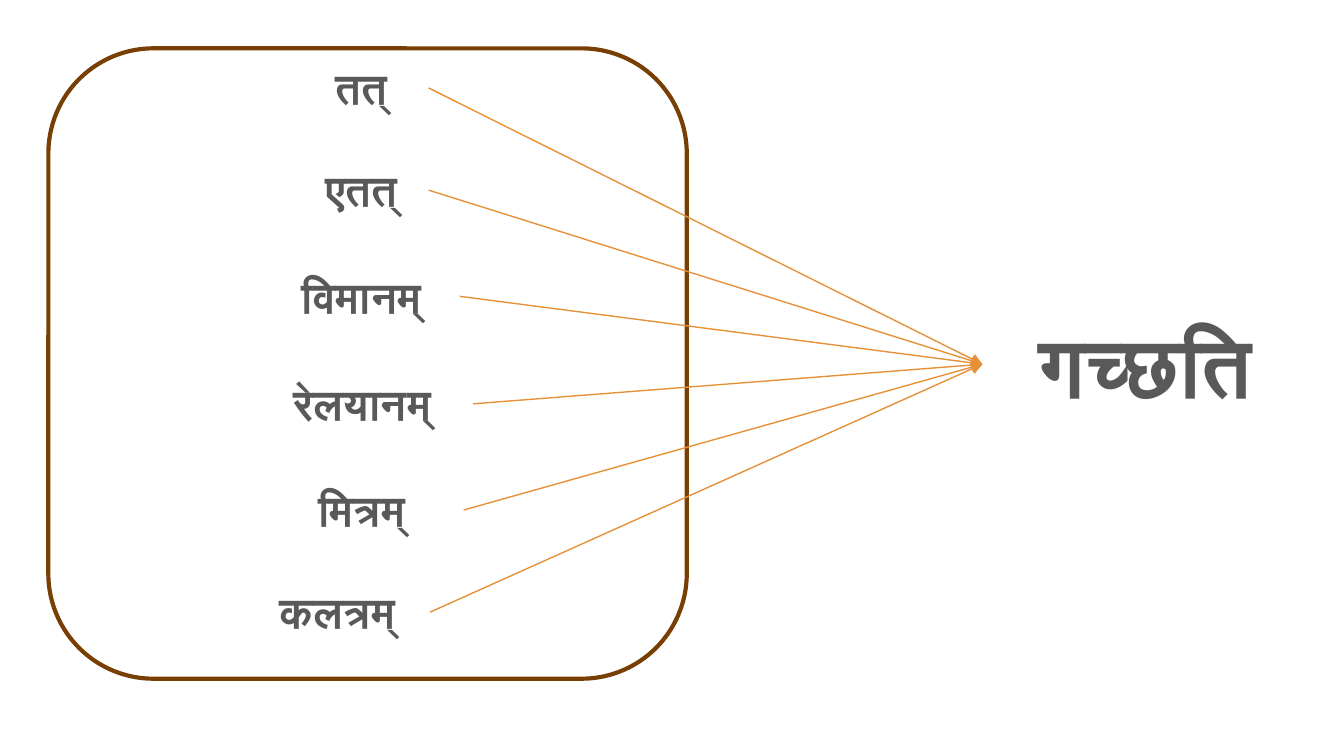
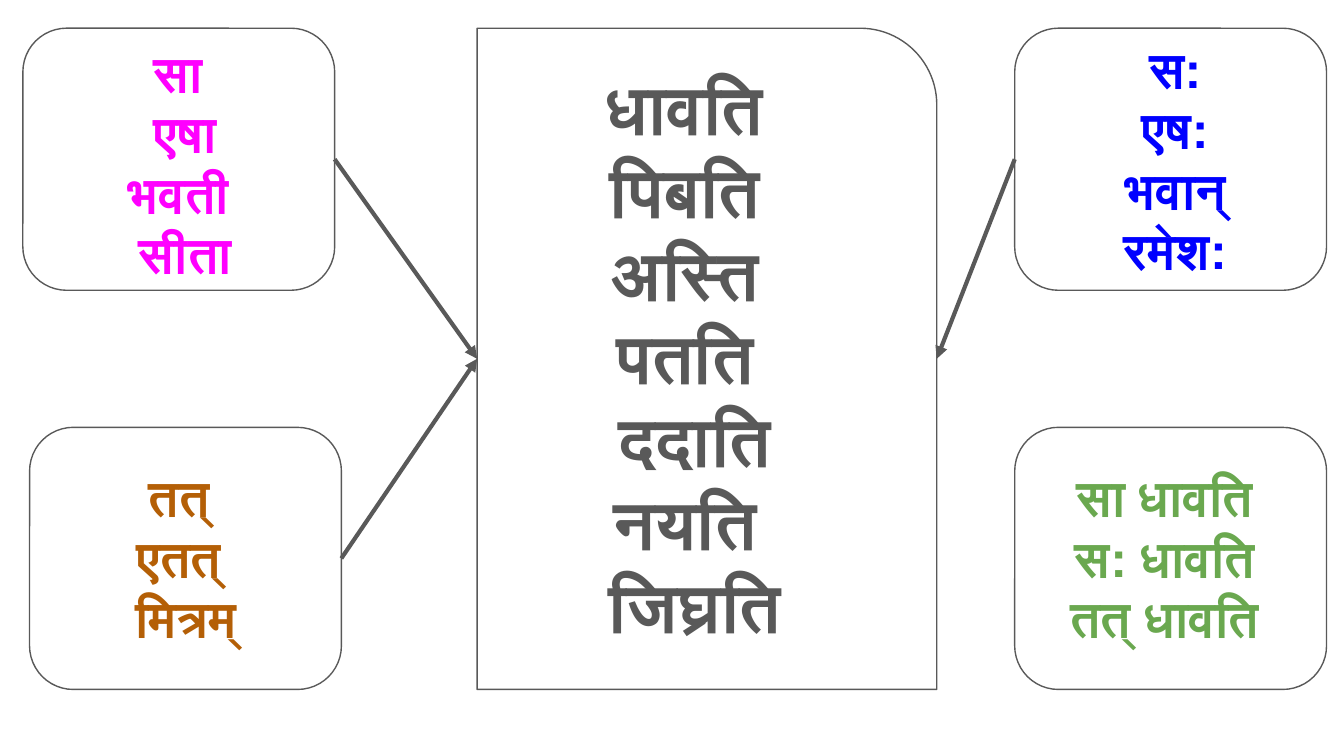
from dataclasses import dataclass

from pptx import Presentation
from pptx.dml.color import RGBColor as RGB
from pptx.enum.shapes import MSO_CONNECTOR as LINE, MSO_SHAPE as SHAPE
from pptx.enum.text import MSO_AUTO_SIZE as FIT, PP_ALIGN as ALIGN
from pptx.oxml.ns import qn
from pptx.util import Pt
from lxml.etree import SubElement

PX = 9144  # EMU; 100 px to the inch
LEFT_SITE, RIGHT_SITE = 1, 3


@dataclass(frozen=True)
class Theme:
    font: str = "Arial"
    white: str = "FFFFFF"
    grey: str = "595959"
    brown: str = "783F04"
    orange: str = "E69138"
    magenta: str = "FF00FF"
    blue: str = "0000FF"
    ochre: str = "B45F06"
    green: str = "6AA84F"
    word: int = 23
    group: int = 27
    verbs: int = 37
    key_verb: int = 45
    thin: float = 0.75
    thick: float = 2.25
    inset: int = 10


class Deck:
    def __init__(self, theme, width):
        """Start a 16:9 deck of the given width."""
        self.theme = theme
        self.prs = Presentation()
        self.prs.slide_width = width * PX
        self.prs.slide_height = width * PX * 9 // 16
        self.s = None

    def new_slide(self):
        self.s = self.prs.slides.add_slide(self.prs.slide_layouts[6])
        fill = self.s.background.fill
        fill.solid()
        fill.fore_color.rgb = RGB.from_string(self.theme.white)

    def panel(self, box, color, weight, kind=SHAPE.ROUNDED_RECTANGLE):
        sp = self.s.shapes.add_shape(kind, *(n * PX for n in box))
        sp.shadow.inherit = False
        sp.fill.solid()
        sp.fill.fore_color.rgb = RGB.from_string(self.theme.white)
        sp.line.color.rgb = RGB.from_string(color)
        sp.line.width = Pt(weight)
        return sp

    def text(self, box, lines, size, color):
        sp = self.s.shapes.add_textbox(*(n * PX for n in box))
        tf = sp.text_frame
        tf.word_wrap = True
        tf.auto_size = FIT.SHAPE_TO_FIT_TEXT
        tf.margin_left = tf.margin_right = self.theme.inset * PX
        tf.margin_top = tf.margin_bottom = self.theme.inset * PX
        for i, line in enumerate(lines):
            p = tf.add_paragraph() if i else tf.paragraphs[0]
            p.alignment = ALIGN.CENTER
            r = p.add_run()
            r.text = line
            r.font.size, r.font.bold = Pt(size), True
            r.font.color.rgb = RGB.from_string(color)
            r.font.name = self.theme.font
            for script in ("a:ea", "a:cs"):  # Devanagari uses the complex-script font
                SubElement(r.font._element, qn(script), typeface=self.theme.font)
        return sp

    def arrow(self, source, target, color, weight, sites=(RIGHT_SITE, LEFT_SITE)):
        """Join the side middles of two shapes, with the head at the target."""
        cn = self.s.shapes.add_connector(LINE.STRAIGHT, 0, 0, 0, 0)
        cn.begin_connect(source, sites[0])
        cn.end_connect(target, sites[1])
        cn.line.color.rgb = RGB.from_string(color)
        cn.line.width = Pt(weight)
        SubElement(cn.line._get_or_add_ln(), qn("a:tailEnd"), type="triangle")
        SubElement(cn._element.spPr, qn("a:effectLst"))


def subjects_to_verb(deck):
    t = deck.theme
    deck.new_slide()
    deck.panel((36, 36, 475, 469), t.brown, t.thick)
    verb = deck.text((731, 223, 243, 96), ["गच्छति"], t.key_verb, t.grey)
    subjects = [
        ("तत् ", 228, 36, 91),
        ("एतत् ", 228, 112, 91),
        ("रेलयानम् ", 196, 271, 156),
        ("विमानम् ", 205, 191, 137),
        ("कलत्रम् ", 191, 426, 129),
        ("मित्रम् ", 202, 350, 143),
    ]
    words = [deck.text((x, y, w, 59), [word], t.word, t.grey)
             for word, x, y, w in subjects]
    for word in sorted(words, key=lambda sp: sp.top):
        deck.arrow(word, verb, t.orange, t.thin)


def genders_to_verbs(deck):
    t = deck.theme
    deck.new_slide()
    top, bottom, right = 21, 318, 755

    def group_panel(x, y):
        return deck.panel((x, y, 232, 195), t.grey, t.thin)

    feminine = group_panel(17, top)
    neuter = group_panel(22, bottom)
    masculine = group_panel(right, top)
    verbs = deck.panel((355, top, 342, 492), t.grey, t.thin,
                       SHAPE.ROUND_1_RECTANGLE)

    deck.text((766, 18, 217, 202), ["स:", "एष:", "भवान्", "रमेश:"],
              t.group, t.blue)
    deck.text((35, 21, 206, 202), ["सा ", "एषा", "भवती ", "सीता"],
              t.group, t.magenta)
    deck.text((392, 39, 250, 456),
              ["धावति ", "पिबति ", "अस्ति ", "पतति ", "ददाति", "नयति ", "जिघ्रति"],
              t.verbs, t.grey)
    deck.text((30, 337, 217, 157), ["तत् ", "एतत् ", "मित्रम्"],
              t.group, t.ochre)

    for source in (feminine, neuter):
        deck.arrow(source, verbs, t.grey, t.thick)
    deck.arrow(masculine, verbs, t.grey, t.thick, (LEFT_SITE, RIGHT_SITE))

    group_panel(right, bottom)
    deck.text((766, 337, 212, 157), ["सा धावति ", "स: धावति ", "तत् धावति "],
              t.group, t.green)


def main():
    deck = Deck(Theme(), 1000)
    subjects_to_verb(deck)
    genders_to_verbs(deck)
    deck.prs.save("out.pptx")


if __name__ == "__main__":
    main()
